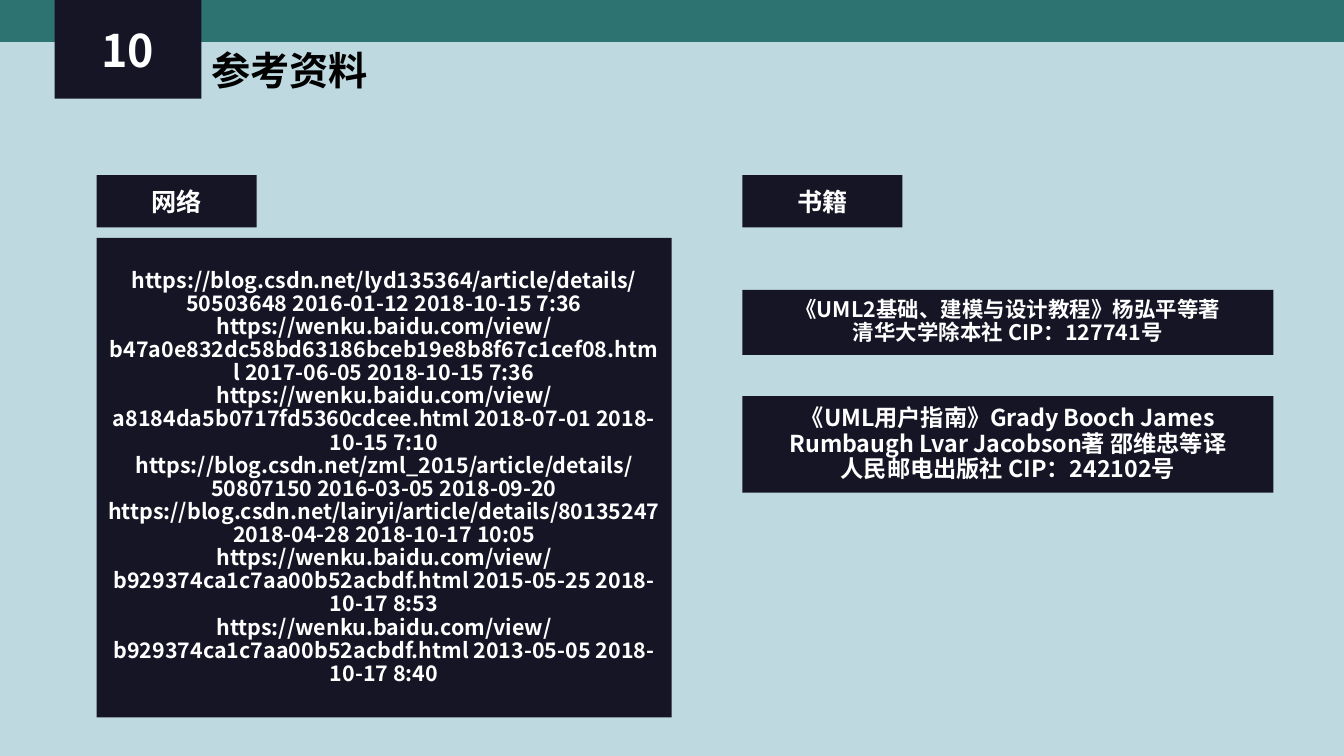
from lxml.etree import SubElement
from pptx import Presentation
from pptx.dml.color import RGBColor
from pptx.enum.shapes import MSO_SHAPE
from pptx.enum.text import MSO_ANCHOR, PP_ALIGN
from pptx.oxml.ns import qn
from pptx.util import Pt

NUMBER = "10"
TITLE = "参考资料"
WEB_HEADING = "网络"
WEB_SOURCES = [
    "https://blog.csdn.net/lyd135364/article/details/50503648 2016-01-12 2018-10-15 7:36",
    "https://wenku.baidu.com/view/b47a0e832dc58bd63186bceb19e8b8f67c1cef08.html 2017-06-05 2018-10-15 7:36",
    "https://wenku.baidu.com/view/a8184da5b0717fd5360cdcee.html 2018-07-01 2018-10-15 7:10",
    "https://blog.csdn.net/zml_2015/article/details/50807150 2016-03-05 2018-09-20",
    "https://blog.csdn.net/lairyi/article/details/80135247 2018-04-28 2018-10-17 10:05",
    "https://wenku.baidu.com/view/b929374ca1c7aa00b52acbdf.html 2015-05-25 2018-10-17 8:53",
    "https://wenku.baidu.com/view/b929374ca1c7aa00b52acbdf.html 2013-05-05 2018-10-17 8:40",
]
BOOK_HEADING = "书籍"
UML_COURSE = [
    "《UML2基础、建模与设计教程》杨弘平等著",
    "清华大学除本社 CIP：127741号",
]
UML_GUIDE = [
    "《UML用户指南》Grady Booch James Rumbaugh Lvar Jacobson著 邵维忠等译",
    "人民邮电出版社 CIP：242102号",
]

CJK_FONT = "Noto Sans CJK SC"
NAVY, TEAL, SKY, WHITE, BLACK = "161525", "2C7371", "BED9E0", "FFFFFF", "000000"
SLIDE_WIDTH, SLIDE_HEIGHT = 960.48, 540
WEB_LEFT, WEB_WIDTH = 69, 411
BOOK_LEFT, BOOK_WIDTH = 530.5, 379.5
HEADING_TOP, HEADING_WIDTH, HEADING_HEIGHT = 125, 114.5, 37.5

deck = Presentation()
deck.slide_width, deck.slide_height = Pt(SLIDE_WIDTH), Pt(SLIDE_HEIGHT)
slide = deck.slides.add_slide(deck.slide_layouts[6])


def paint(fill, color):
    fill.solid()
    fill.fore_color.rgb = RGBColor.from_string(color)


def write(frame, lines, size, color, align, font=CJK_FONT, spacing=None):
    frame.word_wrap = True
    frame.text = "\n".join(lines)
    for paragraph in frame.paragraphs:
        paragraph.alignment = align
        paragraph.line_spacing = spacing
        for run in paragraph.runs:
            run.font.size = Pt(size)
            run.font.bold = True
            run.font.name = font
            run.font.color.rgb = RGBColor.from_string(color)
            SubElement(run.font._element, qn("a:ea"), typeface=CJK_FONT)


def add_block(left, top, width, height, color=NAVY, lines=(), size=18, spacing=None):
    block = slide.shapes.add_shape(MSO_SHAPE.RECTANGLE, Pt(left), Pt(top), Pt(width), Pt(height))
    block.shadow.inherit = False
    block.line.fill.background()
    paint(block.fill, color)
    if lines:
        block.text_frame.vertical_anchor = MSO_ANCHOR.MIDDLE
        write(block.text_frame, lines, size, WHITE, PP_ALIGN.CENTER, spacing=spacing)


paint(slide.background.fill, SKY)
add_block(0, 0, SLIDE_WIDTH, 30, TEAL)
add_block(39, 0, 105, 70.5, lines=[NUMBER], size=32)
title = slide.shapes.add_textbox(Pt(144), Pt(29.5), Pt(461), Pt(41))
write(title.text_frame, [TITLE], 28, BLACK, PP_ALIGN.LEFT, font="Arial")

for left, heading in [(WEB_LEFT, WEB_HEADING), (BOOK_LEFT, BOOK_HEADING)]:
    add_block(left, HEADING_TOP, HEADING_WIDTH, HEADING_HEIGHT, lines=[heading])

for left, top, width, height, sources, size in [
    (WEB_LEFT, 170, WEB_WIDTH, 342.5, WEB_SOURCES, 15.3),
    (BOOK_LEFT, 207, BOOK_WIDTH, 46.5, UML_COURSE, 15.3),
    (BOOK_LEFT, 283, BOOK_WIDTH, 69, UML_GUIDE, 16.6),
]:
    add_block(left, top, width, height, lines=sources, size=size, spacing=0.9)

deck.save("out.pptx")
